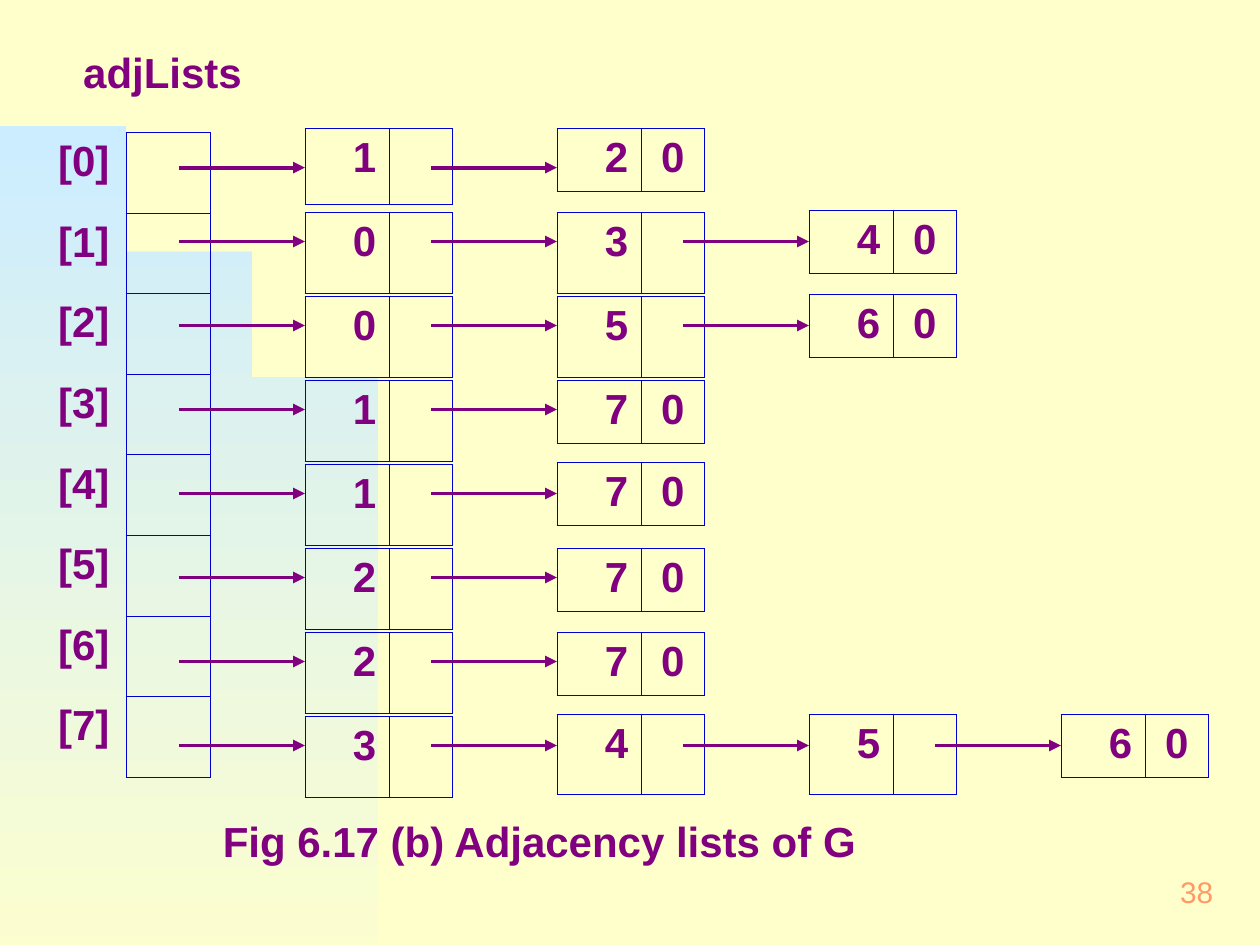
from dataclasses import dataclass

from lxml import etree
from pptx import Presentation, util as u
from pptx.dml.color import RGBColor
from pptx.enum import shapes, text
from pptx.oxml.ns import qn

NO_TABLE_STYLE = "{2D5ABB26-0587-4C30-8999-92F81FD0307C}"
ADJACENCY = [[1, 2], [0, 3, 4], [0, 5, 6], [1, 7], [1, 7], [2, 7], [2, 7], [3, 4, 5, 6]]
RAISED = {(1, 2), (2, 2), (4, 1), (7, 1), (7, 2), (7, 3)}  # (row, column) of nodes set a little higher
ROW_STEP, COLUMN_STEP = 2 / 3, 2
CENTER, RIGHT = text.PP_ALIGN.CENTER, text.PP_ALIGN.RIGHT


def color(value):
    return RGBColor.from_string(value)


def inches(*values):
    return [u.Inches(v) for v in values]


@dataclass
class Painter:
    s: object
    font: str = "Arial"
    ink: str = "800080"
    border: str = "0000CC"
    size: float = 24

    def add_words(self, tf, words, align=None, size=None, ink=None, bold=True):
        p = tf.paragraphs[0]
        p.alignment = align
        r = p.add_run()
        r.text = words
        r.font.name, r.font.size, r.font.bold = self.font, u.Pt(size or self.size), bold
        r.font.color.rgb = color(ink or self.ink)

    def label(self, box, words, inset=(0.12, 0.06), wrap=True, anchor=text.MSO_ANCHOR.TOP, **style):
        tf = self.s.shapes.add_textbox(*inches(*box)).text_frame
        tf.word_wrap, tf.vertical_anchor = wrap, anchor
        tf.auto_size = text.MSO_AUTO_SIZE.SHAPE_TO_FIT_TEXT if wrap else text.MSO_AUTO_SIZE.NONE
        tf.margin_left = tf.margin_right = u.Inches(inset[0])
        tf.margin_top = tf.margin_bottom = u.Inches(inset[1])
        self.add_words(tf, words, **style)

    def table(self, x, y, widths, height, rows):
        box = inches(x, y, sum(widths), height * rows)
        table = self.s.shapes.add_table(rows, len(widths), *box).table
        table.first_row = table.horz_banding = False
        table._tbl.tblPr.find(qn("a:tableStyleId")).text = NO_TABLE_STYLE
        for column, width in zip(table.columns, widths):
            column.width = u.Inches(width)
        for row in table.rows:
            row.height = u.Inches(height)
        for cell in table.iter_cells():
            cell.fill.background()
        return table

    def outline(self, cell, sides="LRTB"):
        tcPr = cell._tc.get_or_add_tcPr()
        for i, side in enumerate(sides):
            ln = etree.Element(qn(f"a:ln{side}"), w=str(u.Pt(0.45)))
            fill = etree.SubElement(ln, qn("a:solidFill"))
            etree.SubElement(fill, qn("a:srgbClr"), val=self.border)
            tcPr.insert(i, ln)

    def node(self, x, y, vertex, last, height):
        table = self.table(x, y, (0.67, 0.5), height, 1)
        value, link = table.iter_cells()
        value.margin_left, value.margin_right = inches(0.38, 0.05)
        self.add_words(value.text_frame, str(vertex))
        if last:
            self.add_words(link.text_frame, "0", CENTER)
        for cell in (value, link):
            self.outline(cell)

    def index_table(self, x, y, rows):
        table = self.table(x, y, (0.67, 0.67), 0.64, rows)
        for i in range(rows):
            self.add_words(table.cell(i, 0).text_frame, f"[{i}]", CENTER)
            self.outline(table.cell(i, 0), "R")
            self.outline(table.cell(i, 1))

    def arrow(self, x, y, length=1):
        line = self.s.shapes.add_connector(shapes.MSO_CONNECTOR.STRAIGHT, *inches(x, y, x + length, y))
        line.line.color.rgb, line.line.width = color(self.ink), u.Pt(2.25)
        etree.SubElement(line.line._get_or_add_ln(), qn("a:tailEnd"), type="triangle")
        etree.SubElement(line._element.spPr, qn("a:effectLst"))

    def arc(self, controls, corner, top, bottom, steps=60):
        """Fill the area between a cubic curve and a corner with a downward gradient."""
        points = []
        for i in range(steps + 1):
            t = i / steps
            weights = (1 - t) ** 3, 3 * t * (1 - t) ** 2, 3 * t * t * (1 - t), t ** 3
            points.append([sum(w * c[axis] for w, c in zip(weights, controls)) for axis in (0, 1)])
        builder = self.s.shapes.build_freeform(*points[0], scale=u.Inches(1))
        builder.add_line_segments(points[1:] + [corner], close=True)
        sp = builder.convert_to_shape()
        sp.shadow.inherit = False
        sp.line.fill.background()
        sp.fill.gradient()
        sp.fill.gradient_angle = 270
        for stop, value, place in zip(sp.fill.gradient_stops, (top, bottom), (0, 1)):
            stop.color.rgb, stop.position = color(value), place


def main():
    prs = Presentation()
    prs.slide_width, prs.slide_height = inches(10, 7.5)
    s = prs.slides.add_slide(prs.slide_layouts[6])
    s.background.fill.solid()
    s.background.fill.fore_color.rgb = color("FFFFCC")
    painter = Painter(s)

    # Background arc and page number
    painter.arc([(0, 0.92), (1.75, 0.92), (3.17, 3.87), (3.17, 7.5)], (0, 7.5), "CCECFF", "FFFFCC")
    painter.label((7.67, 6.83, 2.08, 0.5), "38", wrap=False, anchor=text.MSO_ANCHOR.MIDDLE,
                  align=RIGHT, size=17, ink="FF9966", bold=False)

    # Heading, index column and caption
    painter.label((0.25, 0.31, 2.08, 0.52), "adjLists", align=CENTER)
    painter.index_table(0.33, 1.05, len(ADJACENCY))
    painter.label((1.67, 6.42, 6.67, 0.56), "Fig 6.17 (b) Adjacency lists of G", inset=(0.1, 0.05))

    # Linked nodes
    for i, vertices in enumerate(ADJACENCY):
        for j, vertex in enumerate(vertices):
            last = j == len(vertices) - 1
            y = 1.02 + i * ROW_STEP - (0.02 if (i, j) in RAISED else 0)
            height = 0.5 if last else 0.6 if i == 0 else 0.64
            painter.node(2.42 + j * COLUMN_STEP, y, vertex, last, height)

    # Arrows
    for i, vertices in enumerate(ADJACENCY):
        y = 1.25 + i * ROW_STEP if i else 1.33
        for j in range(len(vertices)):
            painter.arrow(1.42 + j * COLUMN_STEP, y)

    prs.save("out.pptx")


if __name__ == "__main__":
    main()
